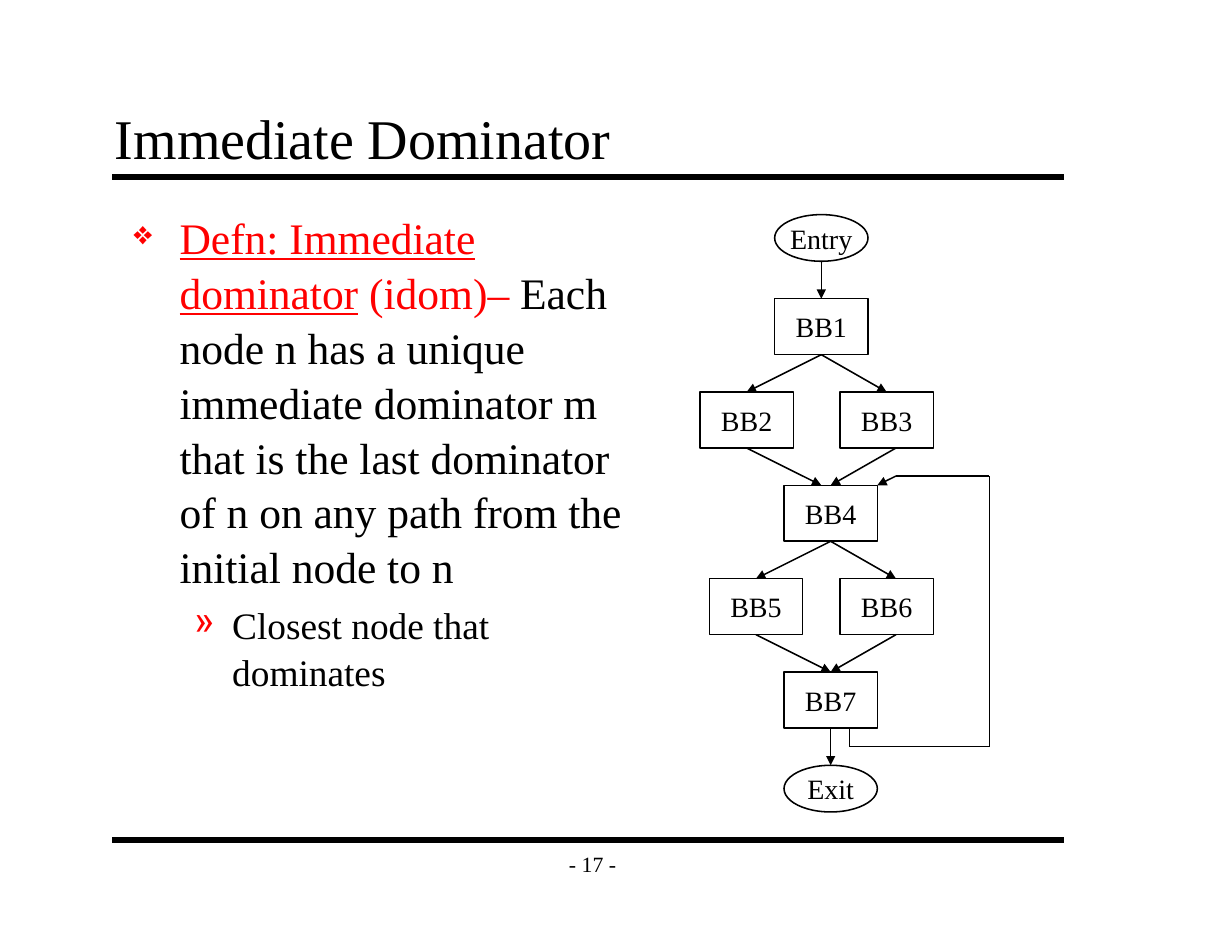
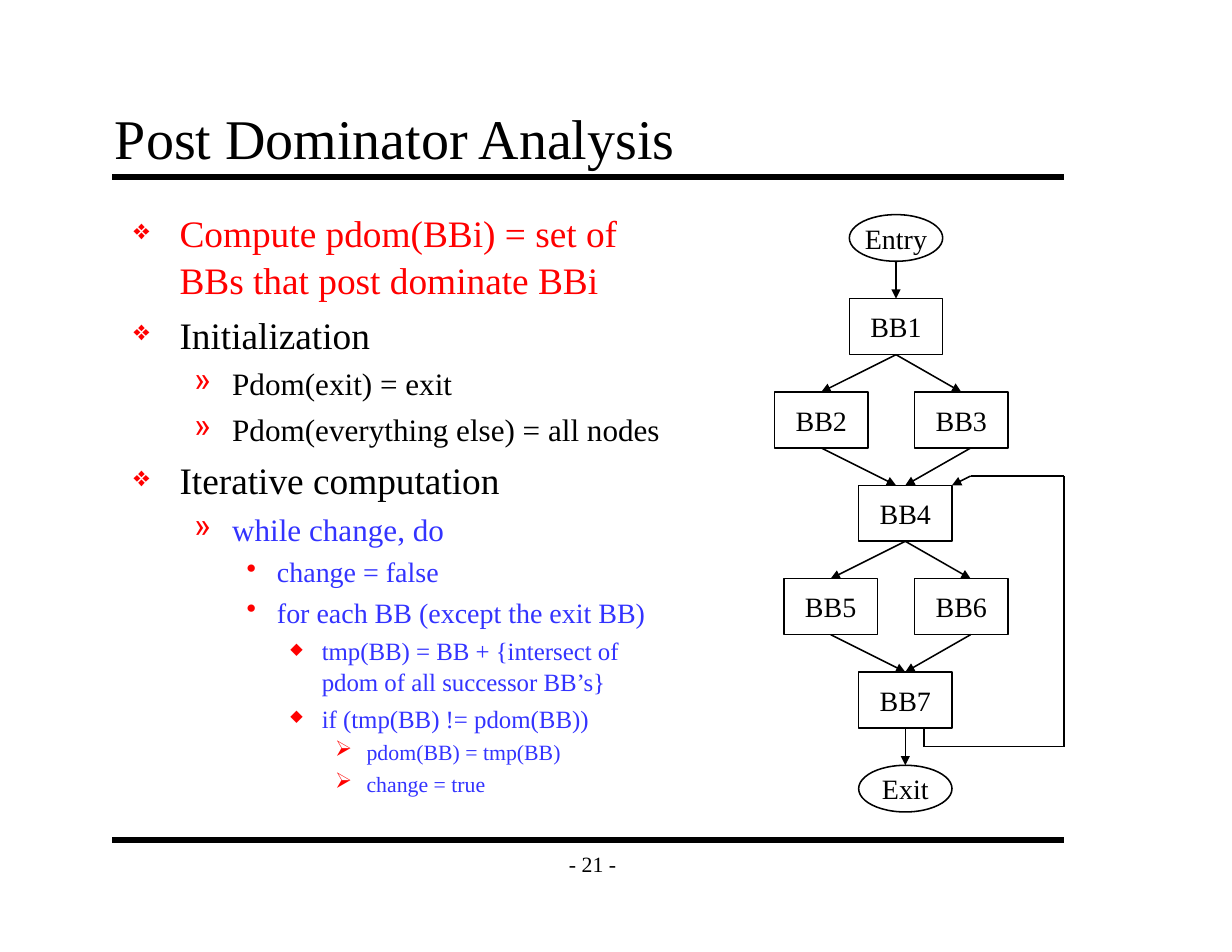
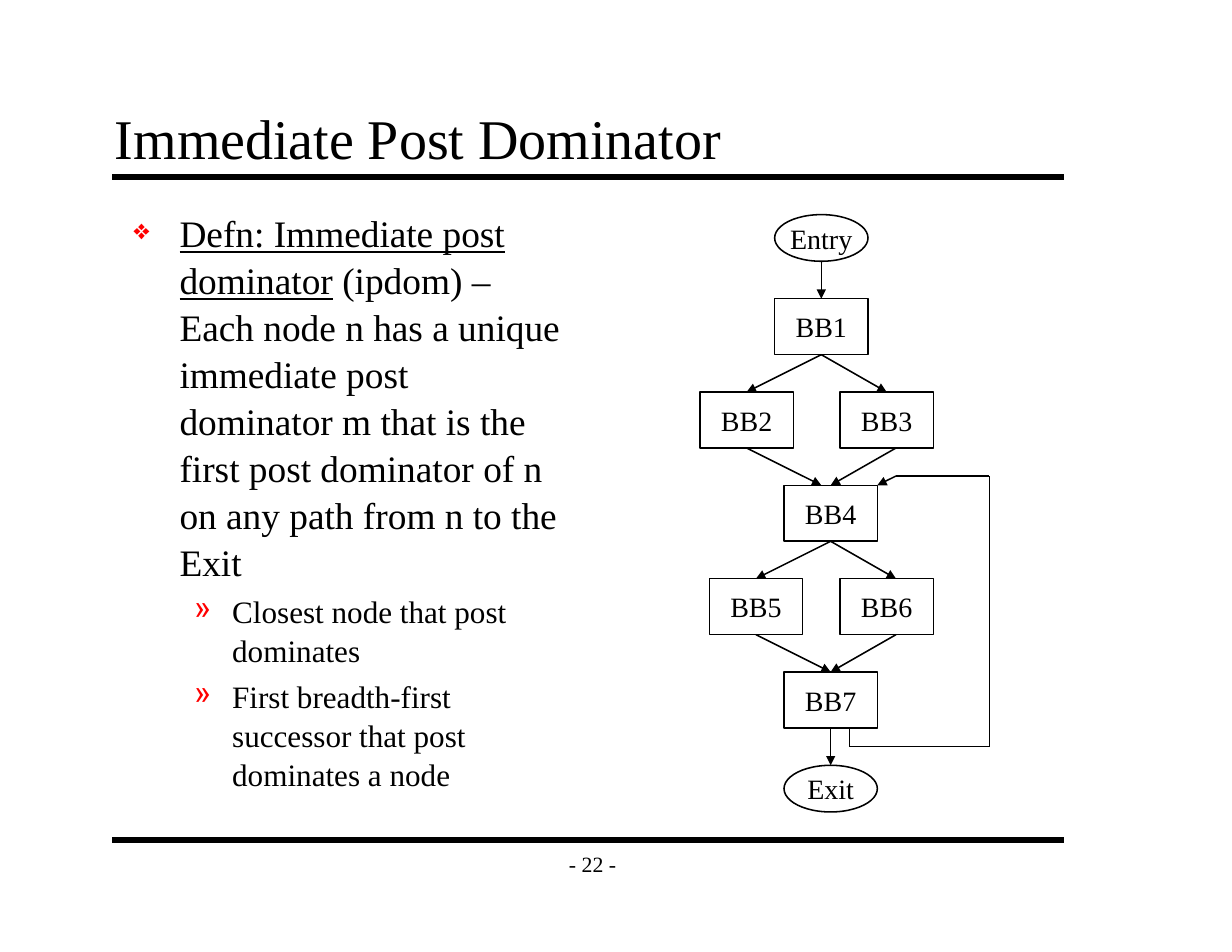
from lxml import etree
from pptx import Presentation
from pptx.dml.color import RGBColor
from pptx.enum.shapes import MSO_CONNECTOR, MSO_SHAPE
from pptx.enum.text import MSO_ANCHOR, PP_ALIGN
from pptx.oxml.ns import qn
from pptx.util import Inches, Pt

STRAIGHT = MSO_CONNECTOR.STRAIGHT
RECTANGLE, OVAL = MSO_SHAPE.RECTANGLE, MSO_SHAPE.OVAL
TOP, MIDDLE, BOTTOM = MSO_ANCHOR.TOP, MSO_ANCHOR.MIDDLE, MSO_ANCHOR.BOTTOM
LEFT, CENTER = PP_ALIGN.LEFT, PP_ALIGN.CENTER

FONT = "Times New Roman"
COLORS = {"black": "000000", "red": "FF0000", "blue": "3333FF"}

# Everything sits on a grid of twelve cells to the inch
CELL = Inches(1) / 12
COLUMNS, ROWS = 132, 102
RULE_ROWS = (19, 90)

# Outline levels: bullet, bullet size %, text indent, hanging indent
LEVELS = [
    ("❖", 75, 0.41, 0.41),
    ("»", 100, 0.88, 0.34),
    ("•", 100, 1.28, 0.27),
    ("◆", 65, 1.68, 0.28),
    ("➢", 100, 2.08, 0.28),
]

# Flow graph, in cells from its left edge: name -> (column, row)
NODE_WIDTH, BLOCK_HEIGHT, OVAL_HEIGHT = 10, 6, 5
BLOCKS = {
    "BB1": (8, 32), "BB2": (0, 42), "BB3": (15, 42), "BB4": (9, 52),
    "BB5": (1, 62), "BB6": (15, 62), "BB7": (9, 72),
}
TERMINALS = {"Entry": (8, 23), "Exit": (9, 82)}
ARROWS = [
    (13, 28, 13, 32), (13, 38, 20, 42), (13, 38, 5, 42),
    (5, 48, 13, 52), (21, 48, 14, 52), (14, 58, 6, 62), (14, 58, 21, 62),
    (6, 68, 14, 72), (21, 68, 14, 72), (14, 78, 14, 82),
]
LOOP_BACK = [(16, 78), (16, 80), (31, 80), (31, 51), (21, 51), (19, 52)]

# Slides: title, page number, body width, graph column, outline.
# An outline entry is level, size, then spans of text, colour, underline.
SLIDES = [
    ("Immediate Dominator", 17, 56, 75, [
        (0, 28, [
            ("Defn: Immediate dominator", "red", True),
            (" (idom)–", "red", False),
            (" Each node n has a unique immediate dominator m that is the last "
             "dominator of n on any path from the initial node to n", "black", False),
        ]),
        (1, 24, [("Closest node that dominates", "black", False)]),
    ]),
    ("Post Dominator Analysis", 21, 61, 83, [
        (0, 24, [("Compute pdom(BBi) = set of BBs that post dominate BBi", "red", False)]),
        (0, 24, [("Initialization", "black", False)]),
        (1, 20, [("Pdom(exit) = exit", "black", False)]),
        (1, 20, [("Pdom(everything else) = all nodes", "black", False)]),
        (0, 24, [("Iterative computation", "black", False)]),
        (1, 20, [("while change, do", "blue", False)]),
        (2, 18, [("change = false", "blue", False)]),
        (2, 18, [("for each BB (except the exit BB)", "blue", False)]),
        (3, 16, [("tmp(BB) = BB + {intersect of pdom of all successor BB’s}", "blue", False)]),
        (3, 16, [("if (tmp(BB) != pdom(BB))", "blue", False)]),
        (4, 14, [("pdom(BB) = tmp(BB)", "blue", False)]),
        (4, 14, [("change = true", "blue", False)]),
    ]),
    ("Immediate Post Dominator", 22, 49.4, 75, [
        (0, 24, [
            ("Defn: Immediate post dominator", "black", True),
            (" (ipdom) – Each node n has a unique immediate post dominator m that "
             "is the first post dominator of n on any path from n to the Exit",
             "black", False),
        ]),
        (1, 20, [("Closest node that post dominates", "black", False)]),
        (1, 20, [("First breadth-first successor that post dominates a node",
                  "black", False)]),
    ]),
]


def add_line(page, ends, width, arrow=False):
    line = page.shapes.add_connector(STRAIGHT, *[round(end * CELL) for end in ends])
    line.line.width = Pt(width)
    line.line.color.rgb = RGBColor.from_string(COLORS["black"])
    if arrow:
        etree.SubElement(line.line._get_or_add_ln(), qn("a:tailEnd"), type="triangle")
    etree.SubElement(line._element.spPr, qn("a:effectLst"))


def add_text(page, place, entries, anchor, align=LEFT, wrap=True, outline=None):
    """Entries are (size, spans); an outline makes a drawn shape of the box."""
    place = [round(length * CELL) for length in place]
    if outline is None:
        box = page.shapes.add_textbox(*place)
    else:
        box = page.shapes.add_shape(outline, *place)
        box.shadow.inherit = False
        box.fill.background()
        box.line.width = Pt(1)
        box.line.color.rgb = RGBColor.from_string(COLORS["black"])
    frame = box.text_frame
    frame.word_wrap = wrap
    frame.vertical_anchor = anchor
    frame.margin_left = frame.margin_right = Inches(0.11)
    frame.margin_top = frame.margin_bottom = Inches(0.06)
    for number, (size, spans) in enumerate(entries):
        para = frame.add_paragraph() if number else frame.paragraphs[0]
        para.alignment = align
        para.font.name = FONT
        para.font.size = Pt(size)
        for text, color, underline in spans:
            span = para.add_run()
            span.text = text
            span.font.color.rgb = RGBColor.from_string(COLORS[color])
            if underline:
                span.font.underline = True
    return frame.paragraphs


deck = Presentation()
deck.slide_width = round(COLUMNS * CELL)
deck.slide_height = round(ROWS * CELL)

for title, page_number, body_width, graph_column, outline in SLIDES:
    page = deck.slides.add_slide(deck.slide_layouts[6])

    # Rules, page number and title
    for row in RULE_ROWS:
        add_line(page, (12, row, 114, row), 4)
    add_text(page, (59, 90, 9, 5), [(14, [(f"- {page_number} -", "black", False)])],
             MIDDLE, CENTER, wrap=False)
    add_text(page, (11, 11, 102, 8), [(36, [(title, "black", False)])], BOTTOM)

    # Bulleted outline
    paras = add_text(page, (13, 21.6, body_width, 68.4),
                     [(size, spans) for _, size, spans in outline], TOP)
    for para, (level, size, _) in zip(paras, outline):
        bullet, percent, indent, hanging = LEVELS[level]
        para.level = level
        para.line_spacing = 1.05
        para.space_before = Pt(0.2 * size)
        properties = para._p.get_or_add_pPr()
        properties.set("marL", str(Inches(indent)))
        properties.set("indent", str(-Inches(hanging)))
        marks = [
            etree.Element(qn("a:buClr")),
            etree.Element(qn("a:buSzPct"), val=str(percent * 1000)),
            etree.Element(qn("a:buChar"), char=bullet),
        ]
        etree.SubElement(marks[0], qn("a:srgbClr"), val=COLORS["red"])
        start = properties.index(properties.find(qn("a:spcBef"))) + 1
        properties[start:start] = marks

    # Flow graph nodes
    for nodes, shape, height in ((BLOCKS, RECTANGLE, BLOCK_HEIGHT),
                                 (TERMINALS, OVAL, OVAL_HEIGHT)):
        for name, (column, row) in nodes.items():
            add_text(page, (graph_column + column, row, NODE_WIDTH, height),
                     [(18, [(name, "black", False)])], MIDDLE, CENTER,
                     wrap=False, outline=shape)

    # Flow graph edges; the last leg of the loop carries the arrowhead
    loop_legs = [start + end for start, end in zip(LOOP_BACK, LOOP_BACK[1:])]
    for edge in ARROWS + loop_legs:
        x1, y1, x2, y2 = edge
        add_line(page, (graph_column + x1, y1, graph_column + x2, y2), 1,
                 arrow=edge not in loop_legs[:-1])

deck.save("out.pptx")
